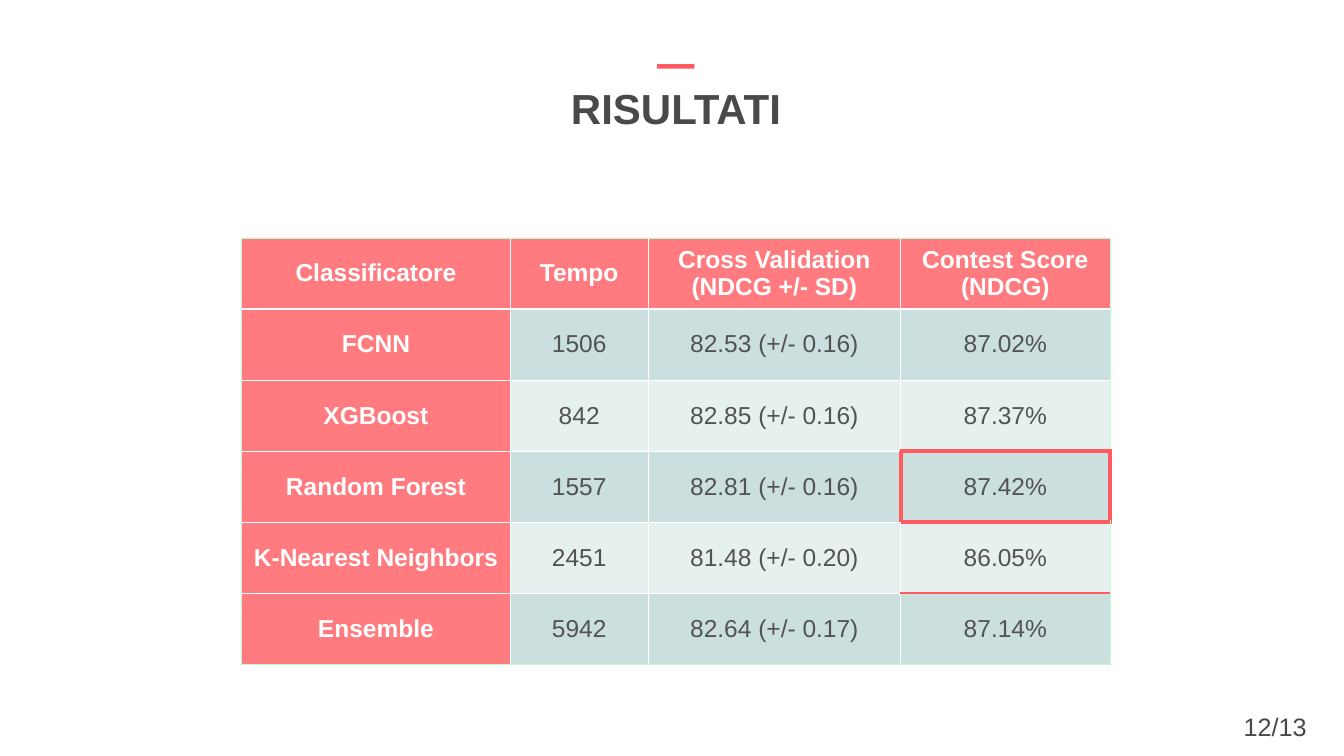
from dataclasses import dataclass

from pptx import Presentation
from pptx import util as u
from pptx.dml import color
from pptx.enum import shapes, text
from pptx.oxml import ns, xmlchemy

PX = 9144
COLORS = {
    "accent": "FF5A5F", "ink": "494949", "body": "535353", "white": "FFFFFF",
    "mint": "B5FFD2", "band_dark": "CADFDE", "band_light": "E6F0EF",
}
FONT = "Arial"
COLUMNS = (533, 273, 501, 415)
ROW_HEIGHT = 141
ROWS = (
    ("Classificatore", "Tempo", "Cross Validation (NDCG +/- SD)", "Contest Score (NDCG)"),
    ("FCNN", "1506", "82.53 (+/- 0.16)", "87.02%"),
    ("XGBoost", "842", "82.85 (+/- 0.16)", "87.37%"),
    ("Random Forest", "1557", "82.81 (+/- 0.16)", "87.42%"),
    ("K-Nearest Neighbors", "2451", "81.48 (+/- 0.20)", "86.05%"),
    ("Ensemble", "5942", "82.64 (+/- 0.17)", "87.14%"),
)


@dataclass(frozen=True)
class Label:
    """A one-line text box."""
    words: str
    left: int
    top: int
    width: int
    height: int
    size: int
    bold: bool = False
    grows: bool = False


@dataclass(frozen=True)
class Border:
    """The colour and point width of one cell edge."""
    color: str = "white"
    width: int = 1


LABELS = (
    Label("RISULTATI", 770, 158, 1141, 111, 60, bold=True),
    Label("12/13", 2421, 1406, 215, 70, 36, grows=True),
)
BEST = Border("accent", 6)
HIGHLIGHTS = {
    (2, 3): {"B": BEST},
    (3, 2): {"R": BEST},
    (3, 3): {side: BEST for side in "LRTB"},
    (4, 3): {"T": BEST, "B": Border("accent", 4)},
}


def rgb(name: str) -> color.RGBColor:
    """Look up a named colour."""
    return color.RGBColor.from_string(COLORS[name])


def px(*lengths: int) -> list[u.Emu]:
    """Turn px lengths into EMU."""
    return [u.Emu(length * PX) for length in lengths]


def write(tf, words: str, size: int, ink: str, bold: bool) -> None:
    """Write one centred run into a text frame."""
    p = tf.paragraphs[0]
    p.alignment = text.PP_ALIGN.CENTER
    r = p.add_run()
    r.text = words
    r.font.name, r.font.size, r.font.bold = FONT, u.Pt(size), bold
    r.font.color.rgb = rgb(ink)


def draw_label(s, label: Label) -> None:
    """Draw a text box."""
    sp = s.shapes.add_textbox(*px(label.left, label.top, label.width, label.height))
    tf = sp.text_frame
    tf.word_wrap = True
    if label.grows:
        tf.auto_size = text.MSO_AUTO_SIZE.SHAPE_TO_FIT_TEXT
    tf.margin_left, tf.margin_top, tf.margin_right, tf.margin_bottom = px(5, 5, 5, 5)
    write(tf, label.words, label.size, "ink", label.bold)


def draw_bar(s) -> None:
    """Draw the short accent bar above the title."""
    sp = s.shapes.add_shape(shapes.MSO_SHAPE.RECTANGLE, *px(1303, 127, 74, 9))
    sp.shadow.inherit = False
    sp.fill.solid()
    sp.fill.fore_color.rgb = rgb("accent")
    sp.line.fill.background()


def cell_borders(row: int, col: int) -> dict[str, Border]:
    """Work out the four edges of a cell, in schema order."""
    mint = Border("mint")
    edges = {
        "L": mint if col == 0 else Border(),
        "R": mint if col == len(COLUMNS) - 1 else Border(),
        "T": mint if row == 0 else Border(),
        "B": mint if row == len(ROWS) - 1 else Border(width=3 if row == 0 else 1),
    }
    return edges | HIGHLIGHTS.get((row, col), {})


def set_borders(cell, edges: dict[str, Border]) -> None:
    """Insert the edge lines ahead of the cell fill."""
    tc_pr = cell._tc.get_or_add_tcPr()
    for index, (side, border) in enumerate(edges.items()):
        ln = xmlchemy.OxmlElement(f"a:ln{side}")
        ln.set("w", str(u.Pt(border.width)))
        fill = xmlchemy.OxmlElement("a:solidFill")
        srgb = xmlchemy.OxmlElement("a:srgbClr")
        srgb.set("val", COLORS[border.color])
        fill.append(srgb)
        ln.append(fill)
        tc_pr.insert(index, ln)


def fill_cell(cell, name: str, opacity: int = 100) -> None:
    """Fill a cell, with an opacity in percent."""
    cell.fill.solid()
    cell.fill.fore_color.rgb = rgb(name)
    if opacity < 100:
        alpha = xmlchemy.OxmlElement("a:alpha")
        alpha.set("val", str(opacity * 1000))
        cell._tc.tcPr.find(".//" + ns.qn("a:srgbClr")).append(alpha)


def draw_results(s) -> None:
    """Draw the table of classifier results."""
    frame = s.shapes.add_table(
        len(ROWS), len(COLUMNS),
        *px(479, 472, sum(COLUMNS), ROW_HEIGHT * len(ROWS)))
    table = frame.table
    table.first_row = table.horz_banding = False
    for column, width in zip(table.columns, COLUMNS):
        column.width = u.Emu(width * PX)
    for i, values in enumerate(ROWS):
        table.rows[i].height = u.Emu(ROW_HEIGHT * PX)
        for j, words in enumerate(values):
            cell = table.cell(i, j)
            heading = i == 0 or j == 0
            cell.margin_left = cell.margin_right = cell.margin_top = cell.margin_bottom = 0
            cell.vertical_anchor = text.MSO_ANCHOR.MIDDLE
            write(cell.text_frame, words, 35, "white" if heading else "body", heading)
            if heading:
                fill_cell(cell, "accent", 80)
            else:
                fill_cell(cell, "band_dark" if i % 2 else "band_light")
            set_borders(cell, cell_borders(i, j))


def main() -> None:
    """Build and save the results slide."""
    prs = Presentation()
    prs.slide_width, prs.slide_height = px(2665, 1500)
    s = prs.slides.add_slide(prs.slide_layouts[6])
    s.background.fill.solid()
    s.background.fill.fore_color.rgb = rgb("white")
    title, page = LABELS
    draw_label(s, title)
    draw_bar(s)
    draw_results(s)
    draw_label(s, page)
    prs.save("out.pptx")


if __name__ == "__main__":
    main()
